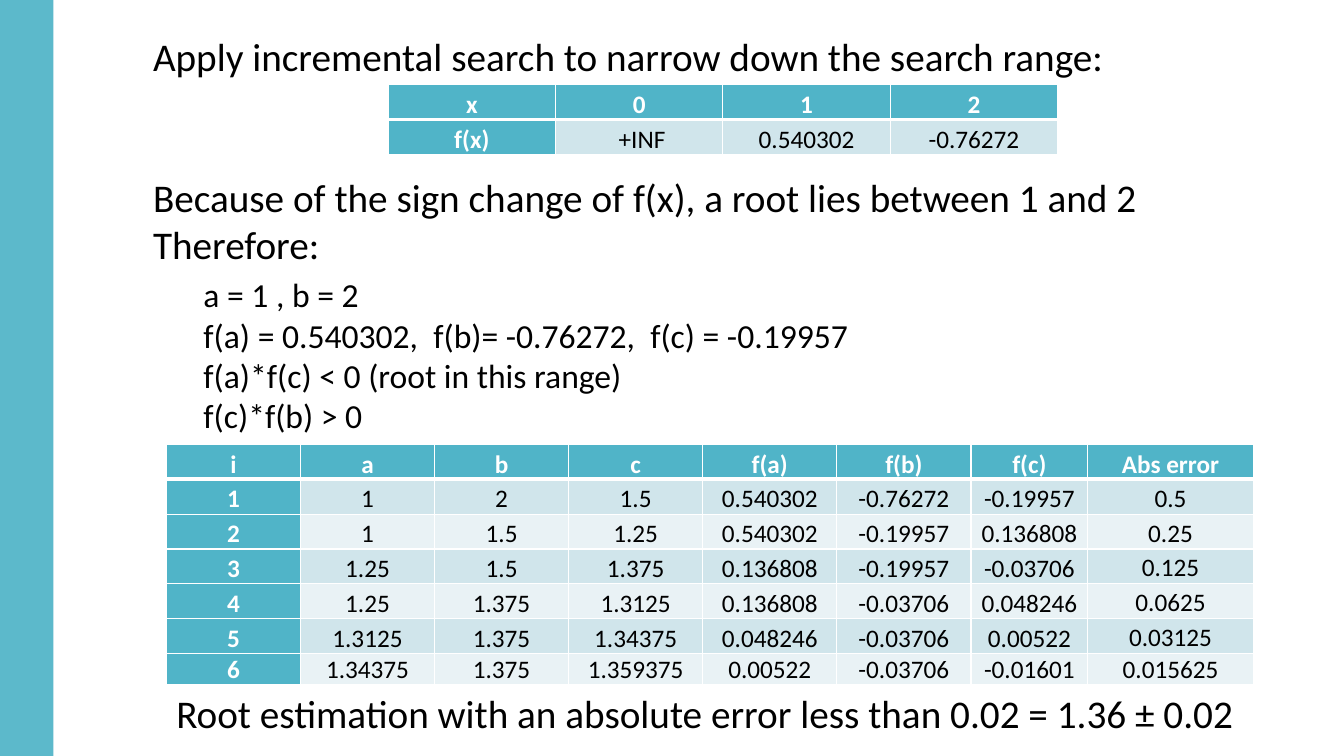
from lxml import etree
from pptx import Presentation, util as u
from pptx.dml.color import RGBColor
from pptx.enum import shapes, text
from pptx.oxml import ns

TEAL, BLACK, WHITE = "50B4C8", "000000", "FFFFFF"
BANDS = ["D0E5EB", "E9F2F5"]
SIDES = ["lnL", "lnR", "lnT", "lnB"]
ANCHOR = text.MSO_ANCHOR


def color(code):
    return RGBColor.from_string(code)


def apply(item, values):
    for name, value in values.items():
        setattr(item, name, value)


def paint(fill, code):
    fill.solid()
    fill.fore_color.rgb = color(code)


def write(par, words, size, code=BLACK, bold=False):
    run = par.add_run()
    run.text = words
    apply(run.font, {"name": "Calibri", "size": u.Pt(size), "bold": bold})
    run.font.color.rgb = color(code)


def inches(box):
    return [u.Inches(part) for part in box]


# Side bar, slightly transparent
def add_bar(slide, box):
    bar = slide.shapes.add_shape(shapes.MSO_SHAPE.RECTANGLE, *inches(box))
    bar.shadow.inherit = False
    bar.line.fill.background()
    paint(bar.fill, TEAL)
    tint = bar.fill._xPr.find(".//" + ns.qn("a:srgbClr"))
    etree.SubElement(tint, ns.qn("a:alpha"), val="93000")


# Text lines, each with words, size, space before and indent
def add_lines(slide, box, lines, wrap=True):
    frame = slide.shapes.add_textbox(*inches(box)).text_frame
    frame.word_wrap = wrap
    for n, (words, size, gap, indent) in enumerate(lines):
        par = frame.add_paragraph() if n else frame.paragraphs[0]
        par.space_before = u.Pt(gap)
        par._p.get_or_add_pPr().set("marL", str(u.Inches(indent)))
        write(par, words, size)


def add_edges(cell, head):
    props = cell._tc.get_or_add_tcPr()
    for n, side in enumerate(SIDES):
        width = 3 if head and side == "lnB" else 1
        line = etree.Element(ns.qn("a:" + side), w=str(u.Pt(width)))
        fill = etree.SubElement(line, ns.qn("a:solidFill"))
        etree.SubElement(fill, ns.qn("a:srgbClr"), val=WHITE)
        props.insert(n, line)


# Table with a teal head row and first column; tight cells sit at the bottom
def add_grid(slide, box, data, widths, heights, tight):
    shape = slide.shapes.add_table(len(data), len(widths), *inches(box))
    grid = shape.table
    for col, width in zip(grid.columns, widths):
        col.width = u.Inches(width)
    for r, (row, height) in enumerate(zip(data, heights)):
        grid.rows[r].height = u.Inches(height)
        for c, words in enumerate(row):
            cell, head, low = grid.cell(r, c), r == 0 or c == 0, tight(r, c)
            side = u.Inches(0.01 if low else 0.07)
            apply(cell, {
                "margin_left": side, "margin_right": side,
                "margin_top": u.Inches(0.01 if low else 0), "margin_bottom": 0,
                "vertical_anchor": ANCHOR.BOTTOM if low else ANCHOR.TOP})
            paint(cell.fill, TEAL if head else BANDS[(r - 1) % 2])
            add_edges(cell, r == 0)
            par = cell.text_frame.paragraphs[0]
            apply(par, {"alignment": text.PP_ALIGN.CENTER,
                        "line_spacing": 1.0 if low else 1.15})
            write(par, words, 18, WHITE if head else BLACK, head)


STEPS = [
    ("Apply incremental search to narrow down the search range:", 28, 0, 0),
    ("Because of the sign change of f(x), a root lies between 1 and 2", 28, 67, 0),
    ("Therefore:", 28, 0, 0),
    ("a = 1 , b = 2", 24, 5, 0.5),
    ("f(a) = 0.540302,  f(b)= -0.76272,  f(c) = -0.19957", 24, 0, 0.5),
    ("f(a)*f(c) < 0 (root in this range)", 24, 0, 0.5),
    ("f(c)*f(b) > 0", 24, 0, 0.5),
]
RESULT = "Root estimation with an absolute error less than 0.02 = 1.36 ± 0.02"
SEARCH = [["x", "0", "1", "2"],
          ["f(x)", "\u00a0+INF", "0.540302", "-0.76272"]]
ROUNDS = [
    ["i", "a", "b", "c", "f(a)", "f(b)", "f(c)", "Abs error"],
    ["1", "1", "2", "1.5", "0.540302", "-0.76272", "-0.19957", "0.5"],
    ["2", "1", "1.5", "1.25", "0.540302", "-0.19957", "0.136808", "0.25"],
    ["3", "1.25", "1.5", "1.375", "0.136808", "-0.19957", "-0.03706", "0.125"],
    ["4", "1.25", "1.375", "1.3125", "0.136808", "-0.03706", "0.048246", "0.0625"],
    ["5", "1.3125", "1.375", "1.34375", "0.048246", "-0.03706", "0.00522", "0.03125"],
    ["6", "1.34375", "1.375", "1.359375", "0.00522", "-0.03706", "-0.01601", "0.015625"],
]


# Whole slide
def add_page(deck):
    slide = deck.slides.add_slide(deck.slide_layouts[6])
    add_bar(slide, (0, 0, 0.53, 7.5))
    add_lines(slide, (1.42, 0.27, 11.5, 4.8), STEPS)
    add_grid(slide, (3.85, 0.84, 6.65, 0.68), SEARCH, [1.66] * 4, [0.34] * 2,
             lambda r, c: False)
    add_grid(slide, (1.65, 4.41, 10.76, 2.34), ROUNDS,
             [1.33] * 6 + [1.16, 1.64], [0.34] * 6 + [0.3],
             lambda r, c: r == 6 or (r > 0 and c == 7))
    add_lines(slide, (1.65, 6.79, 10.82, 0.57), [(RESULT, 28, 0, 0)], wrap=False)


deck = Presentation()
apply(deck, {"slide_width": u.Inches(13.33), "slide_height": u.Inches(7.5)})
add_page(deck)
deck.save("out.pptx")
